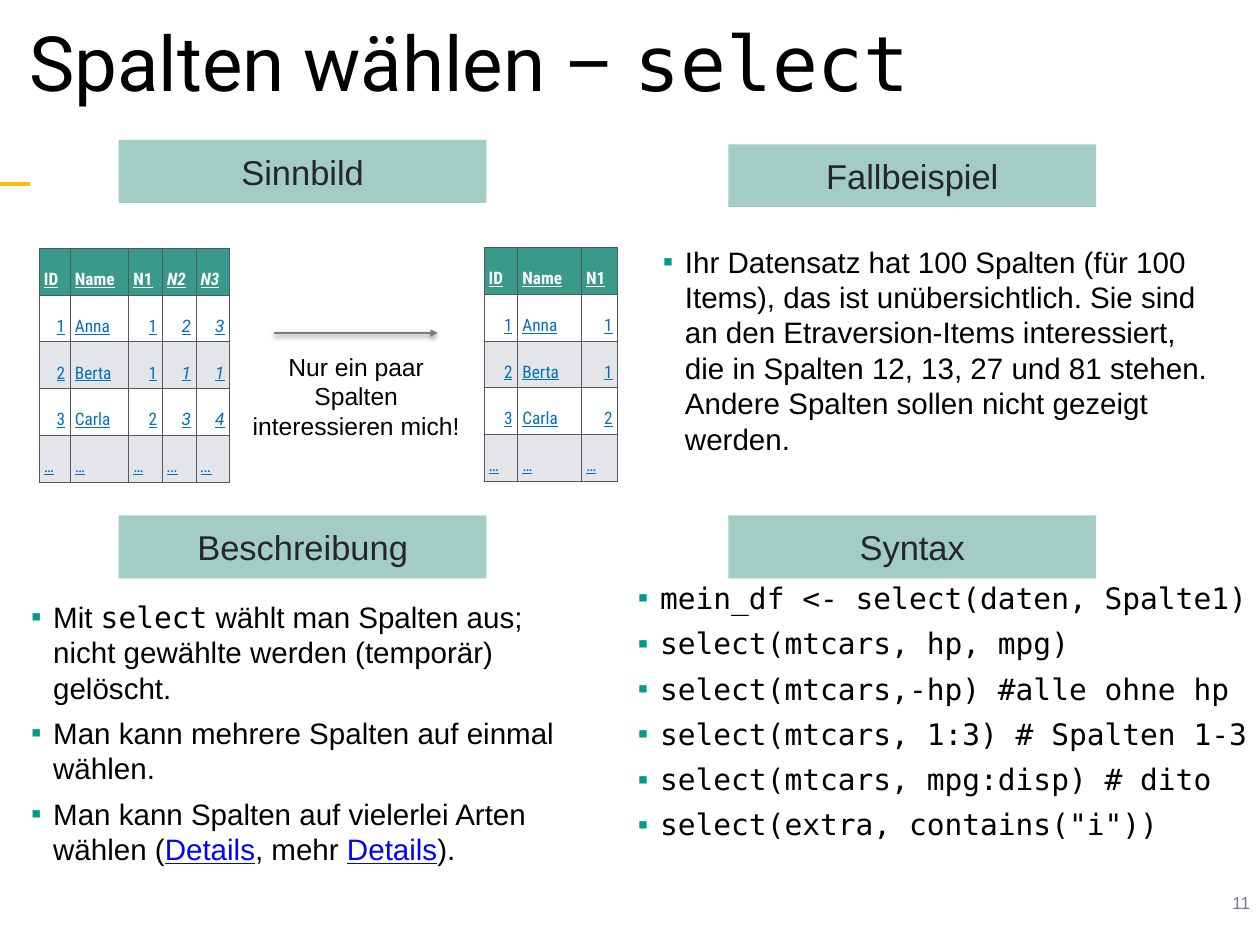
from lxml.etree import SubElement
from pptx import Presentation
from pptx.dml.color import RGBColor
from pptx.enum.shapes import MSO_CONNECTOR as CONN, MSO_SHAPE as SHAPE
from pptx.enum.text import MSO_ANCHOR as ANCHOR, PP_ALIGN as ALIGN
from pptx.oxml import parse_xml
from pptx.oxml.ns import nsdecls, qn
from pptx.util import Emu, Pt

# Content
SANS, MONO, TITLE, CELL = "Arial", "DejaVu Sans Mono", "Roboto", "Roboto Condensed"
BLACK, GREY, GREEN, LINK = "000000", "717D87", "00998A", "0000FF"
title = [[("Spalten wählen – ", TITLE), ("select", MONO)]]
headings = [
    ("Sinnbild", 134, 158),
    ("Fallbeispiel", 822, 163),
    ("Beschreibung", 134, 582),
    ("Syntax", 822, 582),
]
example = [[(
    "Ihr Datensatz hat 100 Spalten (für 100 Items), das ist unübersichtlich. "
    "Sie sind an den Etraversion-Items interessiert, die in Spalten 12, 13, 27 und 81 "
    "stehen. Andere Spalten sollen nicht gezeigt werden.", SANS)]]
description = [
    [("Mit ", SANS), ("select", MONO),
     (" wählt man Spalten aus; nicht gewählte werden (temporär) gelöscht.", SANS)],
    [("Man kann mehrere Spalten auf einmal wählen.", SANS)],
    [("Man kann Spalten auf vielerlei Arten wählen (", SANS), ("Details", SANS, LINK),
     (", mehr ", SANS), ("Details", SANS, LINK), (").", SANS)],
]
syntax = [[(code, MONO)] for code in (
    "mein_df <- select(daten, Spalte1)",
    "select(mtcars, hp, mpg)",
    "select(mtcars,-hp) #alle ohne hp",
    "select(mtcars, 1:3) # Spalten 1-3",
    "select(mtcars, mpg:disp) # dito",
    'select(extra, contains("i"))',
)]
caption = [[("Nur ein paar Spalten interessieren mich!", SANS)]]
page_number = [[("11", SANS, GREY)]]
data = [
    ("ID", "Name", "N1", "N2", "N3"),
    ("1", "Anna", "1", "2", "3"),
    ("2", "Berta", "1", "1", "1"),
    ("3", "Carla", "2", "3", "4"),
    ("…", "…", "…", "…", "…"),
]
tables = [  # left, top, column widths; the second keeps the first three columns
    (44, 280, (35, 66, 38, 38, 38)),
    (546, 279, (38, 72, 41)),
]
KEPT, ROW_H = 3, 52


def px(n):
    return Emu(n * 9144)


def rgb(value):
    return RGBColor.from_string(value)


def style(r, font, size, color):
    r.font.name, r.font.size = font, Pt(size)
    r.font.color.rgb = rgb(color)


prs = Presentation()
prs.slide_width, prs.slide_height = px(1422), px(1067)
s = prs.slides.add_slide(prs.slide_layouts[6])


def add_text(box, paragraphs, size, align=ALIGN.LEFT, before=0, bullet=False, inset=7):
    tf = s.shapes.add_textbox(*map(px, box)).text_frame
    tf.word_wrap = True
    tf.margin_left = tf.margin_right = tf.margin_top = tf.margin_bottom = px(inset)
    for i, runs in enumerate(paragraphs):
        p = tf.add_paragraph() if i else tf.paragraphs[0]
        p.alignment, p.space_before = align, Pt(before)
        for text, font, *color in runs:
            r = p.add_run()
            r.text = text
            style(r, font, size, color[0] if color else BLACK)
            if LINK in color:
                r.font.underline = True
        if bullet:
            pPr = p._p.get_or_add_pPr()
            pPr.set("marL", str(px(25)))
            pPr.set("indent", str(px(-25)))
            SubElement(SubElement(pPr, qn("a:buClr")), qn("a:srgbClr"), val=GREEN)
            SubElement(pPr, qn("a:buFont"), typeface=SANS)
            SubElement(pPr, qn("a:buChar"), char="▪")
    return tf


def add_line(x1, x2, y, color, width):
    line = s.shapes.add_connector(CONN.STRAIGHT, px(x1), px(y), px(x2), px(y))
    line.line.color.rgb, line.line.width = rgb(color), Pt(width)
    return line, SubElement(line._element.spPr, qn("a:effectLst"))


def add_table(left, top, widths):
    shape = s.shapes.add_table(len(data), len(widths), px(left), px(top),
                               px(sum(widths)), px(ROW_H * len(data)))
    table = shape.table
    table.first_row = table.horz_banding = False
    for column, width in zip(table.columns, widths):
        column.width = px(width)
    for i, values in enumerate(data):
        for j in range(len(widths)):
            fill = "39998A" if i == 0 else "FFFFFF" if i % 2 else "E3E5E8"
            fill_cell(table.cell(i, j), values[j], fill, i == 0, j >= KEPT)


def fill_cell(cell, text, fill, header, dropped):
    cell.text_frame.text = text
    cell.vertical_anchor = ANCHOR.MIDDLE
    cell.margin_left = cell.margin_right = cell.margin_top = cell.margin_bottom = Pt(4)
    cell.fill.solid()
    cell.fill.fore_color.rgb = rgb(fill)
    p = cell.text_frame.paragraphs[0]
    p.line_spacing = Pt(30)
    p.alignment = ALIGN.RIGHT if text.isdigit() else ALIGN.LEFT
    r = p.runs[0]
    font = TITLE if dropped and not header else CELL
    style(r, font, 14, "FFFFFF" if header else "0070C0")
    r.font.bold, r.font.italic, r.font.underline = header, dropped, True
    for k, side in enumerate("LRTB"):
        cell._tc.get_or_add_tcPr().insert(k, parse_xml(
            f'<a:ln{side} {nsdecls("a")} w="{Pt(0.25)}"><a:solidFill>'
            f'<a:srgbClr val="53585F"/></a:solidFill></a:ln{side}>'))


# Title, accent line and page number
add_line(0, 34, 208, "F7BC05", 3)
add_text((1181, 1000, 237, 36), page_number, 14, ALIGN.RIGHT)
tf = add_text((0, -2, 1423, 155), title, 62, inset=5)
tf.vertical_anchor = ANCHOR.MIDDLE
p = tf.paragraphs[0]
p.line_spacing = 0.9
for key in ("marL", "indent"):
    p._p.get_or_add_pPr().set(key, str(px(14)))

# Headings
for text, left, top in headings:
    sp = s.shapes.add_shape(SHAPE.RECTANGLE, px(left), px(top), px(415), px(71))
    sp.shadow.inherit = False
    sp.fill.solid()
    sp.fill.fore_color.rgb = rgb("469A8B")
    SubElement(sp._element.spPr.find(".//" + qn("a:srgbClr")), qn("a:alpha"), val="50000")
    sp.line.fill.background()
    tf = sp.text_frame
    tf.text, tf.vertical_anchor = text, ANCHOR.MIDDLE
    p = tf.paragraphs[0]
    p.alignment = ALIGN.CENTER
    style(p.runs[0], SANS, 28, "262626")

# Arrow between the tables, with its soft shadow
arrow, effects = add_line(309, 494, 376, GREY, 2)
SubElement(arrow.line._get_or_add_ln(), qn("a:tailEnd"), type="triangle")
shadow = SubElement(effects, qn("a:outerShdw"), blurRad=str(Pt(4)), dist=str(Pt(2)),
                    dir="5400000", rotWithShape="0")
shade = SubElement(shadow, qn("a:srgbClr"), val=BLACK)
SubElement(shade, qn("a:alpha"), val="38000")
add_text((271, 390, 262, 109), caption, 20, ALIGN.CENTER, before=8)

# Bulleted texts
for box, paragraphs in [
    ((741, 268, 645, 246), example),
    ((28, 669, 645, 312), description),
    ((713, 648, 709, 316), syntax),
]:
    add_text(box, paragraphs, 24, before=8, bullet=True)

# Tables before and after the selection
for left, top, widths in tables:
    add_table(left, top, widths)

prs.save("out.pptx")
